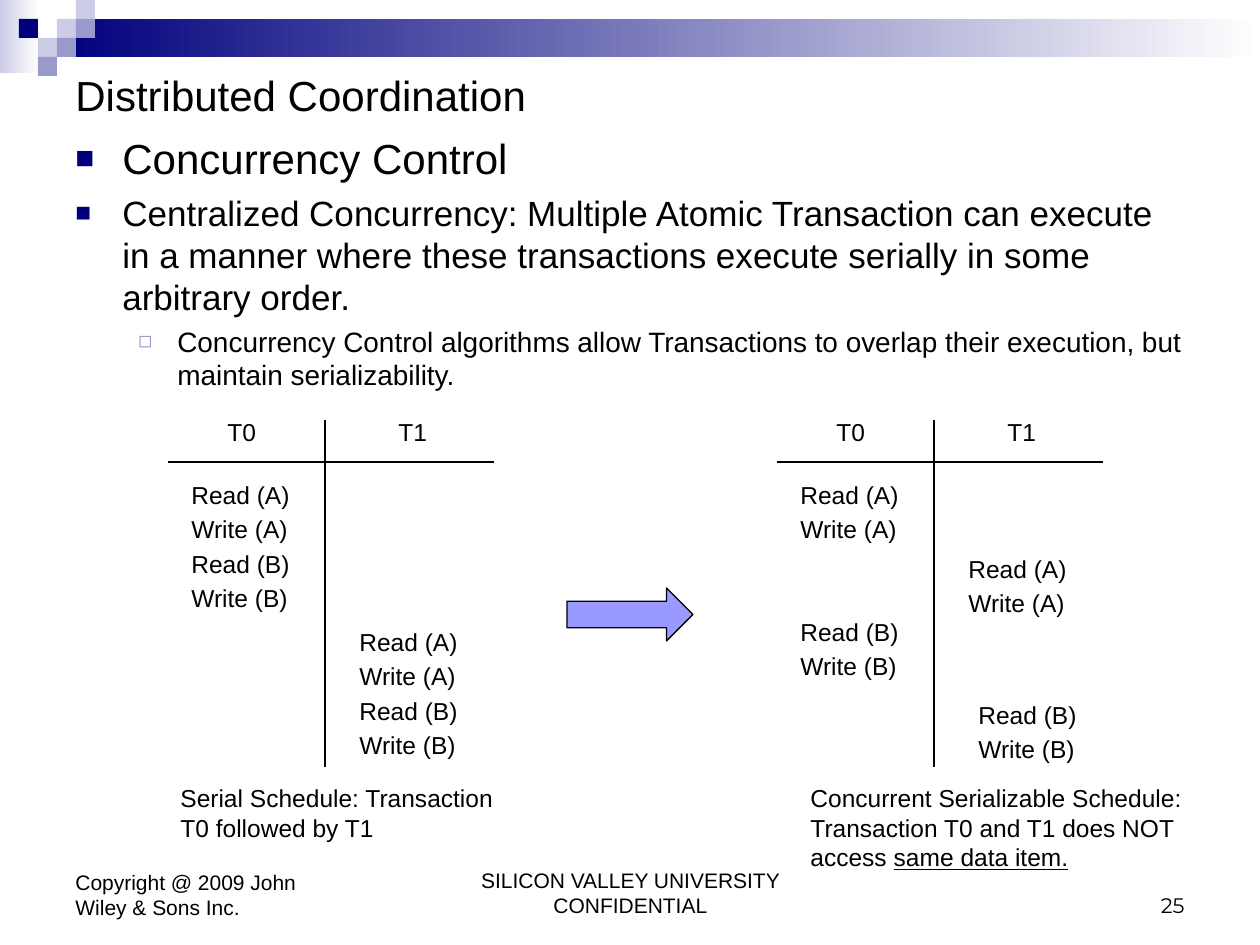
from collections import namedtuple
from dataclasses import dataclass

from lxml import etree
from pptx import Presentation
from pptx.dml.color import RGBColor
from pptx.enum.shapes import MSO_CONNECTOR, MSO_SHAPE
from pptx.enum.text import MSO_ANCHOR, MSO_AUTO_SIZE, PP_ALIGN
from pptx.oxml.ns import qn
from pptx.util import Pt

RECT, RIGHT_ARROW = MSO_SHAPE.RECTANGLE, MSO_SHAPE.RIGHT_ARROW
STRAIGHT = MSO_CONNECTOR.STRAIGHT
TOP, MIDDLE, BOTTOM = MSO_ANCHOR.TOP, MSO_ANCHOR.MIDDLE, MSO_ANCHOR.BOTTOM
LEFT, CENTER, RIGHT = PP_ALIGN.LEFT, PP_ALIGN.CENTER, PP_ALIGN.RIGHT
GROW = MSO_AUTO_SIZE.SHAPE_TO_FIT_TEXT

Box = namedtuple("Box", "left top width height")
Bullet = namedtuple("Bullet", "mark color percent margin hanging")
Item = namedtuple("Item", "text size before bullet")


@dataclass(frozen=True)
class Theme:
    font: str = "Arial"
    number_font: str = "Montserrat"
    ink: str = "000000"
    paper: str = "FFFFFF"
    navy: str = "00007D"
    lavender: str = "9999CC"
    pale: str = "CCCCE6"
    arrow: str = "9999FF"
    heading: int = 24
    statement: int = 20
    detail: int = 16
    schedule: int = 14
    footer: int = 12
    hairline: float = 0.75


THEME = Theme()
SLIDE = Box(0, 0, 1260, 945)


def px(length):
    return round(length * 914400 / 126)


def rgb(color):
    return RGBColor.from_string(color)


def place(box):
    return [px(length) for length in box]


def within(area, left, top, width, height):
    return Box(area.left + left, area.top + top, width, height)


def add_bullet(paragraph, bullet):
    properties = paragraph._p.get_or_add_pPr()
    properties.set("marL", str(px(bullet.margin)))
    properties.set("indent", str(-px(bullet.hanging)))
    color = etree.SubElement(properties, qn("a:buClr"))
    etree.SubElement(color, qn("a:srgbClr"), val=bullet.color)
    etree.SubElement(properties, qn("a:buSzPct"), val=str(bullet.percent * 1000))
    etree.SubElement(properties, qn("a:buFont"), typeface=THEME.font)
    etree.SubElement(properties, qn("a:buChar"), char=bullet.mark)


def add_tabs(paragraph, stops):
    tabs = etree.SubElement(paragraph._p.get_or_add_pPr(), qn("a:tabLst"))
    for stop in stops:
        etree.SubElement(tabs, qn("a:tab"), pos=str(px(stop)), algn="l")


def format_text(paragraph, text, *, size, font=THEME.font, align=LEFT, before=0,
                spacing=None, bullet=None, tabs=(), underlined=""):
    if bullet:
        add_bullet(paragraph, bullet)
    if tabs:
        add_tabs(paragraph, tabs)
    paragraph.alignment = align
    paragraph.space_before = Pt(before)
    paragraph.line_spacing = spacing
    paragraph.add_run().text = text
    if underlined:
        ending = paragraph.add_run()
        ending.text = underlined
        ending.font.underline = True
    for run in paragraph.runs:
        run.font.name = font
        run.font.size = Pt(size)
        run.font.color.rgb = rgb(THEME.ink)


def add_frame(slide, box, anchor=TOP, autosize=None):
    frame = slide.shapes.add_textbox(*place(box)).text_frame
    frame.word_wrap = True
    frame.vertical_anchor = anchor
    if autosize is not None:
        frame.auto_size = autosize
    return frame


def add_label(slide, box, text, anchor=TOP, autosize=None, **style):
    frame = add_frame(slide, box, anchor, autosize)
    format_text(frame.paragraphs[0], text, **style)


def add_paragraphs(frame, entries):
    for index, (text, style) in enumerate(entries):
        paragraph = frame.add_paragraph() if index else frame.paragraphs[0]
        format_text(paragraph, text, **style)


def add_block(slide, box, color, fade_to=None, outline=None, kind=RECT):
    block = slide.shapes.add_shape(kind, *place(box))
    block.shadow.inherit = False
    if fade_to:
        block.fill.gradient()
        block.fill.gradient_angle = 0
        for stop, shade in zip(block.fill.gradient_stops, (color, fade_to)):
            stop.color.rgb = rgb(shade)
    else:
        block.fill.solid()
        block.fill.fore_color.rgb = rgb(color)
    if outline:
        block.line.color.rgb = rgb(outline)
        block.line.width = Pt(THEME.hairline)
    else:
        block.line.fill.background()


def add_rule(slide, left, top, right, bottom):
    rule = slide.shapes.add_connector(STRAIGHT, px(left), px(top), px(right), px(bottom))
    rule.line.color.rgb = rgb(THEME.ink)
    rule.line.width = Pt(THEME.hairline)
    etree.SubElement(rule._element.spPr, qn("a:effectLst"))


def add_banner(slide, area):
    unit = 19
    add_block(slide, within(area, 0, 0, 39, area.height), THEME.pale, THEME.paper)
    add_block(slide, within(area, 3 * unit, unit, area.width - 3 * unit, 2 * unit),
              THEME.navy, THEME.paper)
    tiles = [(3, 1, THEME.pale), (4, 0, THEME.pale), (4, 1, THEME.lavender),
             (2, 2, THEME.pale), (1, 1, THEME.navy), (3, 2, THEME.lavender),
             (2, 3, THEME.lavender)]
    for column, row, color in tiles:
        add_block(slide, within(area, column * unit, row * unit, unit, unit), color)


def add_body(slide, area, items):
    entries = [(item.text, dict(size=item.size, bullet=item.bullet,
                                before=item.before if index else 0))
               for index, item in enumerate(items)]
    add_paragraphs(add_frame(slide, area), entries)


def add_schedule(slide, area, steps):
    divider, header_rule, line_height = 157, 42, 34
    add_label(slide, within(area, 0, 0, 315, 32), "\tT0\tT1", autosize=GROW,
              size=THEME.schedule, spacing=0.65, tabs=(47, 218))
    add_rule(slide, area.left, area.top + header_rule,
             area.left + area.width, area.top + header_rule)
    add_rule(slide, area.left + divider, area.top,
             area.left + divider, area.top + area.height)
    for left, top, operations in steps:
        frame = add_frame(slide, within(area, left, top, 126, line_height * len(operations)),
                          autosize=GROW)
        add_paragraphs(frame, [(operation, dict(size=THEME.schedule, spacing=0.65,
                                                before=8.8 if index else 0))
                               for index, operation in enumerate(operations)])


def add_footer(slide, area):
    add_label(slide, within(area, 0, 0, 294, 65), "Copyright @ 2009 John Wiley & Sons Inc.",
              BOTTOM, size=THEME.footer)
    add_label(slide, within(area, 368, 0, 399, 63), "SILICON VALLEY UNIVERSITY CONFIDENTIAL",
              BOTTOM, size=THEME.footer, align=CENTER)
    add_label(slide, within(area, 840, 0, 294, 63), "25",
              BOTTOM, size=THEME.footer, font=THEME.number_font, align=RIGHT)


def main():
    deck = Presentation()
    deck.slide_width, deck.slide_height = px(SLIDE.width), px(SLIDE.height)
    slide = deck.slides.add_slide(deck.slide_layouts[6])

    add_banner(slide, Box(0, 0, SLIDE.width, 73))
    add_label(slide, Box(63, 63, 1134, 63), "Distributed Coordination",
              MIDDLE, size=THEME.heading)

    main_bullet = Bullet("■", THEME.navy, 75, 47, 47)
    sub_bullet = Bullet("◻", THEME.lavender, 80, 102, 39)
    add_body(slide, Box(63, 126, 1134, 725), [
        Item("Concurrency Control", THEME.heading, 6, main_bullet),
        Item("Centralized Concurrency: Multiple Atomic Transaction can execute in a manner "
             "where these transactions execute serially in some arbitrary order.",
             THEME.statement, 5, main_bullet),
        Item("Concurrency Control algorithms allow Transactions to overlap their execution, "
             "but maintain serializability.", THEME.detail, 4, sub_bullet)])

    on_a, on_b = ["Read (A)", "Write (A)"], ["Read (B)", "Write (B)"]
    first, second = 11, 179
    add_schedule(slide, Box(168, 420, 326, 347),
                 [(first, 63, on_a + on_b), (second, 210, on_a + on_b)])
    add_block(slide, Box(567, 588, 126, 53), THEME.arrow,
              outline=THEME.ink, kind=RIGHT_ARROW)
    add_schedule(slide, Box(777, 420, 326, 347),
                 [(first, 63, on_a), (second, 137, on_a),
                  (first, 200, on_b), (second + 10, 283, on_b)])

    add_label(slide, Box(168, 777, 357, 72), "Serial Schedule: Transaction T0 followed by T1",
              autosize=GROW, size=THEME.schedule)
    add_label(slide, Box(798, 777, 399, 101),
              "Concurrent Serializable Schedule: Transaction T0 and T1 does NOT access ",
              autosize=GROW, size=THEME.schedule, underlined="same data item.")
    add_footer(slide, Box(63, 861, 1134, 65))
    deck.save("out.pptx")


if __name__ == "__main__":
    main()
